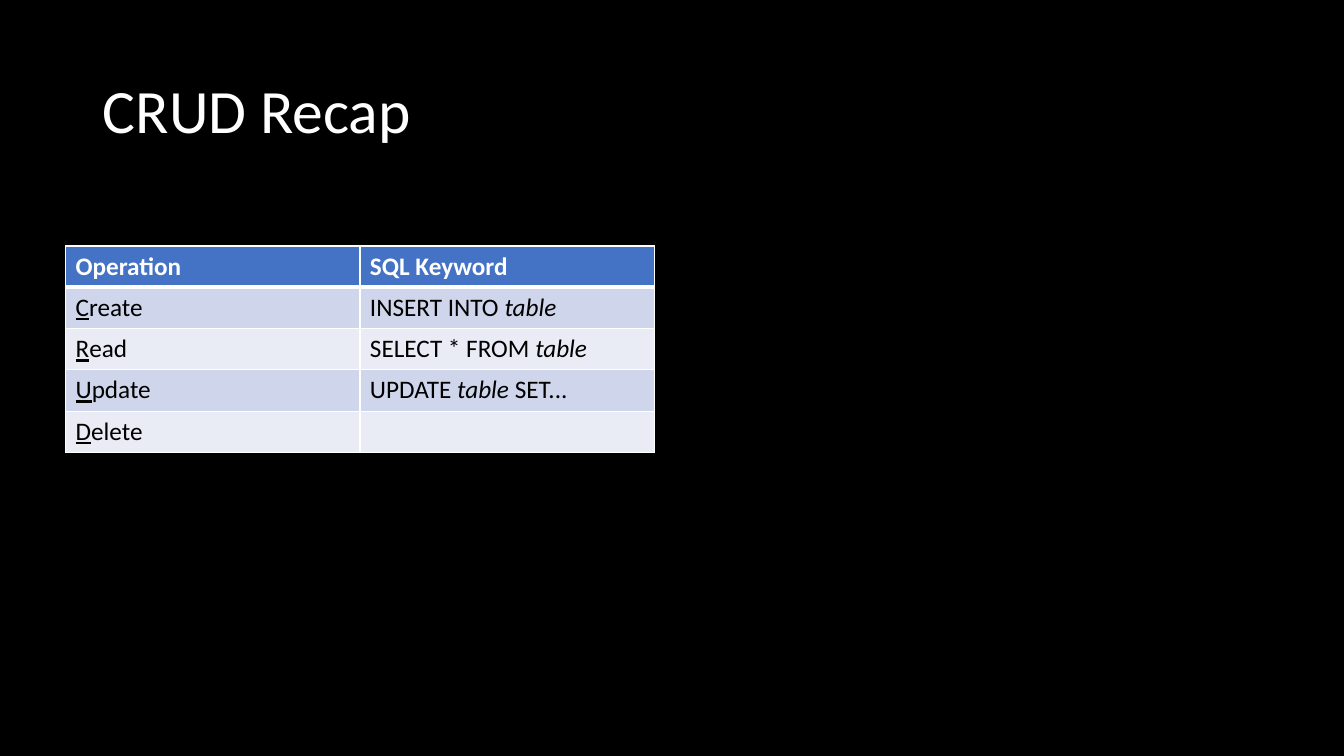
from lxml import etree
from pptx import Presentation
from pptx.dml.color import RGBColor
from pptx.enum.text import MSO_ANCHOR, PP_ALIGN
from pptx.oxml.ns import qn
from pptx.util import Inches, Pt

MIDDLE = MSO_ANCHOR.MIDDLE
LEFT = PP_ALIGN.LEFT

BLACK = RGBColor(0x00, 0x00, 0x00)
WHITE = RGBColor(0xFF, 0xFF, 0xFF)
HEADER_BLUE = RGBColor(0x44, 0x72, 0xC4)
BAND_DARK = RGBColor(0xCF, 0xD5, 0xEA)
BAND_LIGHT = RGBColor(0xE9, 0xEB, 0xF5)

FONT = "Calibri"
TITLE_ONLY_LAYOUT = 5
COLUMN_WIDTH = 2.92
ROW_HEIGHT = 0.41

HEADINGS = ["Operation", "SQL Keyword"]
TABLE_NAME = ("table", {"italic": True})
OPERATIONS = [
    ("Create", [("INSERT INTO ", {}), TABLE_NAME]),
    ("Read", [("SELECT * FROM ", {}), TABLE_NAME]),
    ("Update", [("UPDATE ", {}), TABLE_NAME, (" SET...", {})]),
    ("Delete", []),
]


def add_text(paragraph, text, size=18, color=BLACK, bold=False, italic=False,
             underline=False):
    run = paragraph.add_run()
    run.text = text
    font = run.font
    font.name = FONT
    font.size = Pt(size)
    font.color.rgb = color
    font.bold = bold
    font.italic = italic
    font.underline = underline


def set_borders(cell, top, bottom):
    """Draw white cell edges; top and bottom are widths in points."""
    properties = cell._tc.get_or_add_tcPr()
    widths = {"a:lnL": 1, "a:lnR": 1, "a:lnT": top, "a:lnB": bottom}
    for position, (edge, width) in enumerate(widths.items()):
        line = etree.Element(qn(edge), w=str(Pt(width)))
        fill = etree.SubElement(line, qn("a:solidFill"))
        etree.SubElement(fill, qn("a:srgbClr"), val=str(WHITE))
        properties.insert(position, line)


def fill_cell(cell, color, parts, top=1, bottom=1):
    """Style a cell and write its parts, pairs of text and format."""
    cell.fill.solid()
    cell.fill.fore_color.rgb = color
    set_borders(cell, top, bottom)
    paragraph = cell.text_frame.paragraphs[0]
    paragraph.font.size = Pt(18)
    for text, text_format in parts:
        add_text(paragraph, text, **text_format)


def add_title(slide, text):
    title = slide.shapes.title
    title.left, title.top = Inches(0.92), Inches(0.4)
    title.width, title.height = Inches(11.5), Inches(1.45)
    title.text_frame.vertical_anchor = MIDDLE
    paragraph = title.text_frame.paragraphs[0]
    paragraph.alignment = LEFT
    paragraph.line_spacing = 0.9
    add_text(paragraph, text, size=44, color=WHITE)


def add_crud_table(slide):
    row_count, column_count = len(OPERATIONS) + 1, len(HEADINGS)
    table = slide.shapes.add_table(
        row_count, column_count, Inches(0.65), Inches(2.44),
        Inches(COLUMN_WIDTH * column_count), Inches(ROW_HEIGHT * row_count)).table
    for column, heading in enumerate(HEADINGS):
        fill_cell(table.cell(0, column), HEADER_BLUE,
                  [(heading, {"color": WHITE, "bold": True})], bottom=3)
    for row, (operation, keyword) in enumerate(OPERATIONS, start=1):
        initial = [(operation[0], {"underline": True}), (operation[1:], {})]
        band = BAND_DARK if row % 2 else BAND_LIGHT
        for column, parts in enumerate([initial, keyword]):
            fill_cell(table.cell(row, column), band, parts,
                      top=3 if row == 1 else 1)


def main():
    deck = Presentation()
    deck.slide_width, deck.slide_height = Inches(13.33), Inches(7.5)
    slide = deck.slides.add_slide(deck.slide_layouts[TITLE_ONLY_LAYOUT])
    slide.background.fill.solid()
    slide.background.fill.fore_color.rgb = BLACK
    add_title(slide, "CRUD Recap")
    add_crud_table(slide)
    deck.save("out.pptx")


if __name__ == "__main__":
    main()
